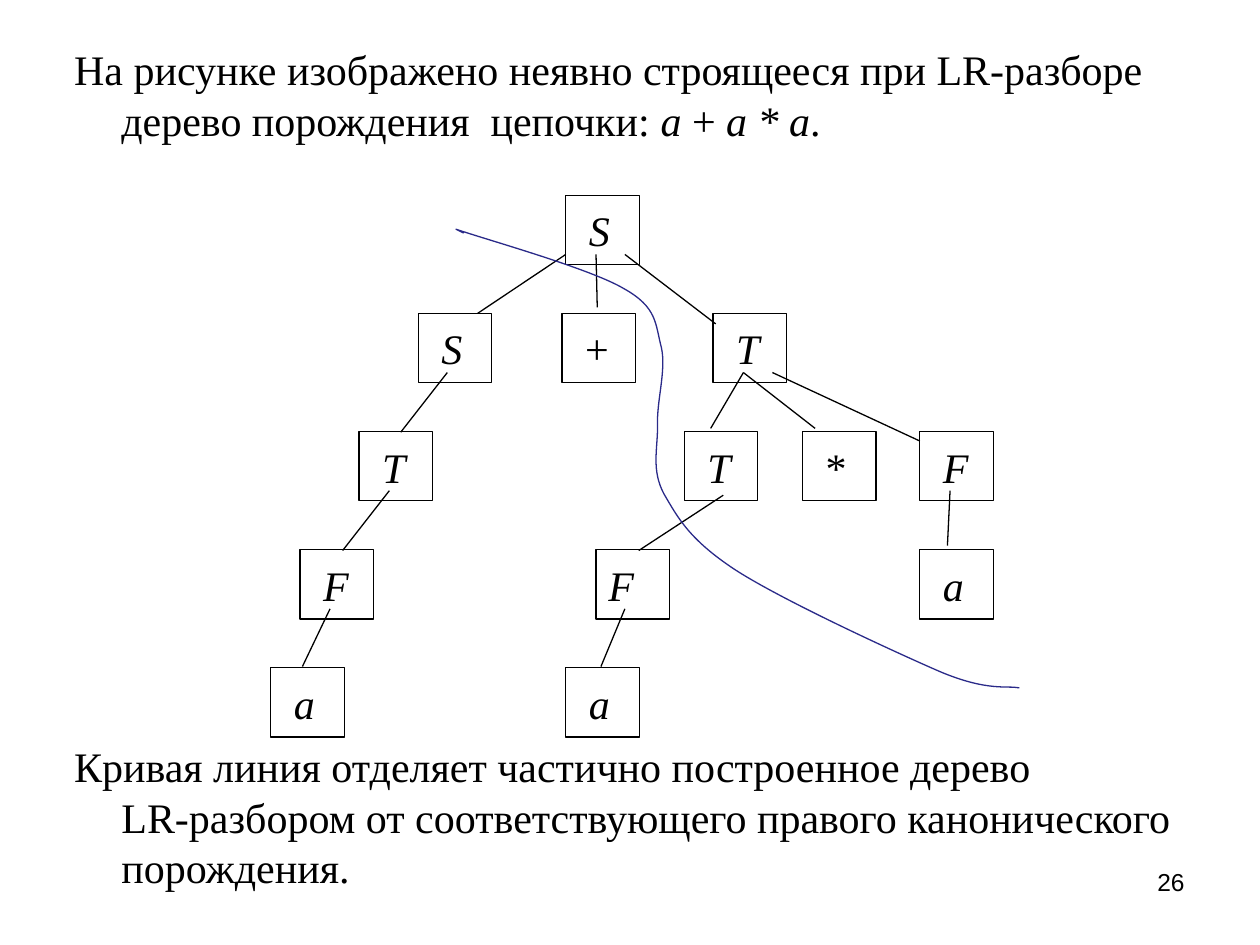
import pptx
import pptx.util
import pptx.dml.color
import pptx.enum.shapes
import pptx.enum.text
import pptx.oxml.ns
from dataclasses import dataclass
from lxml import etree

Pt = pptx.util.Pt
RGB = pptx.dml.color.RGBColor


@dataclass(frozen=True)
class Theme:
    ink: RGB = RGB(0x00, 0x00, 0x00)
    paper: RGB = RGB(0xFF, 0xFF, 0xFF)
    divider: RGB = RGB(0x2A, 0x2A, 0x89)
    serif: str = "Times New Roman"
    sans: str = "Arial"
    body_size: float = 24
    number_size: float = 14
    line_pitch: float = 28.8
    line_width: float = 0.75


THEME = Theme()

# Tree grid: every level of the tree sits one step lower
TREE_TOP, LEVEL_STEP = 111.6, 67.5
NODE_WIDTH, NODE_HEIGHT = 42, 39.6

# Symbol, level, left edge
NODES = [
    ("S", 0, 323.3),
    ("S", 1, 239), ("+", 1, 321.1), ("T", 1, 407.5),
    ("T", 2, 205.2), ("T", 2, 391), ("*", 2, 458.6), ("F", 2, 525.6),
    ("F", 3, 171.4), ("F", 3, 340.6), ("a", 3, 525.6),
    ("a", 4, 154.8), ("a", 4, 323.3),
]
TIGHT_NODE = ("F", 3, 340.6)  # its letter stands closer to the left side

# Parent level, start x, end x, start below parent top, end below child top
EDGES = [
    (0, 323.3, 272.9, 33.8, 0), (0, 340.6, 341.3, 33.8, -3.4),
    (0, 357.1, 409, 33.8, 6),
    (1, 255.6, 229, 33.8, 0.4), (1, 424.8, 406.1, 33.8, -1.8),
    (1, 424.8, 465.8, 33.8, -1.8), (1, 441.4, 525.6, 33.8, 5.4),
    (2, 222.5, 195.8, 33.8, 0.5), (2, 413.3, 365, 36.4, 0.5),
    (2, 542.9, 541.4, 33.8, -2.3),
    (3, 188.6, 172.8, 33.8, -0.7), (3, 357.1, 343.4, 33.8, -0.7),
]

# Divider: short opening stroke, then Bezier control points in threes
DIVIDER_STROKE = [(265, 133.2), (260.6, 131)]
DIVIDER_CURVE = [
    (277.2, 136.8), (337, 153.4), (356.4, 164.9),
    (375.8, 175.7), (374.4, 185), (378, 198.7),
    (380.9, 211.7), (375.1, 229.7), (375.8, 243.4),
    (375.8, 257), (372.2, 268.6), (379.4, 282.2),
    (387.4, 295.9), (393.8, 308.2), (419.8, 325.4),
    (446.4, 342.7), (510.5, 372.2), (537.1, 383.8),
    (564.5, 395.3), (575.3, 391.7), (582.5, 393.1),
]


def level_top(level):
    return TREE_TOP + LEVEL_STEP * level


def add_run(paragraph, text, italic=False, font=THEME.serif, size=THEME.body_size):
    run = paragraph.add_run()
    run.text = text
    run.font.name = font
    run.font.size = Pt(size)
    run.font.italic = italic
    run.font.color.rgb = THEME.ink


def add_text_area(slide, left, top, width, height):
    frame = slide.shapes.add_textbox(Pt(left), Pt(top), Pt(width), Pt(height)).text_frame
    frame.word_wrap = True
    return frame.paragraphs[0]


def add_statement(slide, top, height):
    """Body paragraph with a hanging indent."""
    paragraph = add_text_area(slide, 35.3, top, 648, height)
    paragraph.line_spacing = Pt(THEME.line_pitch)
    properties = paragraph._p.get_or_add_pPr()
    properties.set("marL", str(Pt(27)))
    properties.set("indent", str(-Pt(27)))
    return paragraph


def style_line(line, color):
    line.color.rgb = color
    line.width = Pt(THEME.line_width)


def add_node(slide, symbol, level, left):
    node = slide.shapes.add_shape(
        pptx.enum.shapes.MSO_SHAPE.RECTANGLE,
        Pt(left), Pt(level_top(level)), Pt(NODE_WIDTH), Pt(NODE_HEIGHT))
    node.shadow.inherit = False
    node.fill.solid()
    node.fill.fore_color.rgb = THEME.paper
    style_line(node.line, THEME.ink)
    frame = node.text_frame
    frame.margin_left = Pt(7.2 if (symbol, level, left) == TIGHT_NODE else 13.2)
    frame.margin_right = 0
    frame.vertical_anchor = pptx.enum.text.MSO_ANCHOR.MIDDLE
    frame.paragraphs[0].alignment = pptx.enum.text.PP_ALIGN.LEFT
    add_run(frame.paragraphs[0], symbol, italic=symbol.isalpha())


def add_edge(slide, level, start_x, end_x, start_drop, end_drop):
    edge = slide.shapes.add_connector(
        pptx.enum.shapes.MSO_CONNECTOR.STRAIGHT,
        Pt(start_x), Pt(level_top(level) + start_drop),
        Pt(end_x), Pt(level_top(level + 1) + end_drop))
    style_line(edge.line, THEME.ink)
    etree.SubElement(edge._element.spPr, pptx.oxml.ns.qn("a:effectLst"))


def add_divider(slide):
    start, *rest = [(Pt(x), Pt(y)) for x, y in DIVIDER_STROKE + DIVIDER_CURVE]
    builder = slide.shapes.build_freeform(*start)
    builder.add_line_segments(rest, close=False)
    divider = builder.convert_to_shape()
    divider.shadow.inherit = False
    divider.fill.background()
    style_line(divider.line, THEME.divider)
    # Turn each three control points into one Bezier segment
    outline = divider._element.xpath(".//a:path")[0]
    controls = outline.findall(pptx.oxml.ns.qn("a:lnTo"))[1:]
    for first in range(0, len(controls), 3):
        bezier = etree.SubElement(outline, pptx.oxml.ns.qn("a:cubicBezTo"))
        for control in controls[first:first + 3]:
            bezier.append(control[0])
            outline.remove(control)


def main():
    deck = pptx.Presentation()
    deck.slide_width, deck.slide_height = Pt(720), Pt(540)
    slide = deck.slides.add_slide(deck.slide_layouts[6])

    # Page number
    number = add_text_area(slide, 516.2, 491.8, 167.8, 37.4)
    number.alignment = pptx.enum.text.PP_ALIGN.RIGHT
    add_run(number, "26", font=THEME.sans, size=THEME.number_size)

    # Statement above the tree
    intro = add_statement(slide, 21.4, 65)
    add_run(intro, "На рисунке изображено неявно строящееся при LR-разборе "
                   "дерево порождения  цепочки: ")
    for text, italic in [("a ", True), ("+ ", False), ("a * a", True), (".", False)]:
        add_run(intro, text, italic)

    # Statement below the tree
    outcome = add_statement(slide, 419.7, 94)
    add_run(outcome, "Кривая линия отделяет частично построенное дерево")
    outcome.add_line_break()
    add_run(outcome, "LR-разбором от соответствующего правого канонического порождения.")

    # Derivation tree and its dividing curve
    for node in NODES:
        add_node(slide, *node)
    for edge in EDGES:
        add_edge(slide, *edge)
    add_divider(slide)

    deck.save("out.pptx")


if __name__ == "__main__":
    main()
